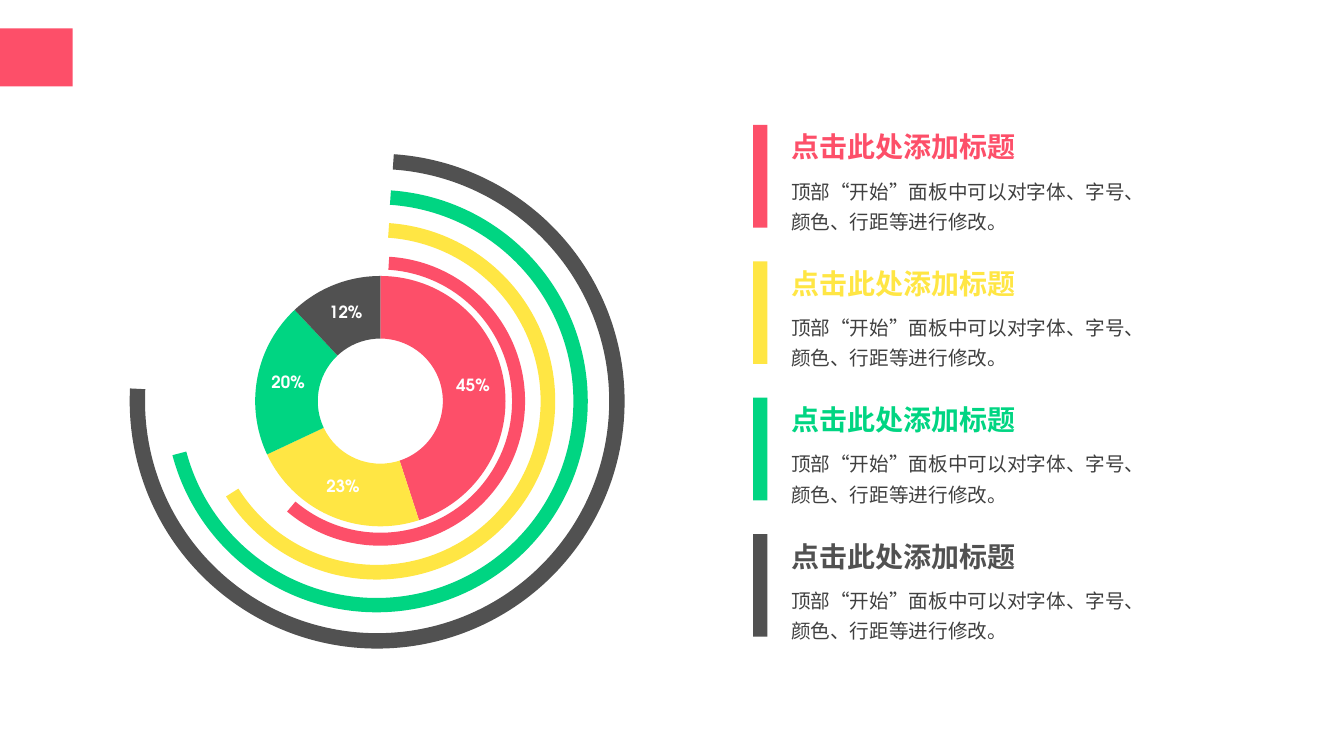
"""Build a slide with a doughnut chart, four surrounding arcs and four captions."""
from dataclasses import dataclass

from pptx import Presentation
from pptx.chart.data import CategoryChartData
from pptx.dml.color import RGBColor
from pptx.enum.chart import XL_CHART_TYPE
from pptx.enum.shapes import MSO_SHAPE
from pptx.enum.text import MSO_AUTO_SIZE, PP_ALIGN
from pptx.shapes.autoshape import Shape
from pptx.slide import Slide
from pptx.util import Pt

DOUGHNUT = XL_CHART_TYPE.DOUGHNUT
RECTANGLE = MSO_SHAPE.RECTANGLE
BLOCK_ARC = MSO_SHAPE.BLOCK_ARC
GROW = MSO_AUTO_SIZE.SHAPE_TO_FIT_TEXT
LEFT = PP_ALIGN.LEFT

FONT = "TeX Gyre Adventor"
COLOURS = {
    "red": "FD4F69",
    "yellow": "FFE644",
    "green": "00D582",
    "grey": "515151",
    "body": "404040",
    "white": "FFFFFF",
    "black": "000000",
}
HEADING = "点击此处添加标题"
BODY = "顶部“开始”面板中可以对字体、字号、颜色、行距等进行修改。"
ARC_CENTRE_Y = 286.5
CAPTION_TOP = 89.3
CAPTION_PITCH = 97.4
CAPTION_LEFT = 558


@dataclass(frozen=True)
class Topic:
    """One share of the doughnut with its arc and caption."""

    colour: str
    share: int
    arc_centre_x: float
    arc_diameter: float
    arc_start: float
    arc_end: float
    arc_thickness: float


TOPICS = [
    Topic("red", 45, 271.8, 206.6, 83.87, 213.92, 0.045),
    Topic("yellow", 23, 269.2, 254.9, 73.38, 213.63, 0.041),
    Topic("green", 20, 269.0, 301.7, 62.9, 213.66, 0.034),
    Topic("grey", 12, 269.4, 353.5, 52.24, 213.68, 0.031),
]


def rgb(colour: str) -> RGBColor:
    """Look up a named colour."""
    return RGBColor.from_string(COLOURS[colour])


def add_block(slide: Slide, kind: MSO_SHAPE, left: float, top: float,
              width: float, height: float, colour: str) -> Shape:
    """Add a flat shape without outline or shadow."""
    block = slide.shapes.add_shape(kind, Pt(left), Pt(top), Pt(width), Pt(height))
    block.fill.solid()
    block.fill.fore_color.rgb = rgb(colour)
    block.line.fill.background()
    block.shadow.inherit = False
    return block


def add_text(slide: Slide, words: str, top: float, width: float, height: float,
             size: int, colour: str, bold: bool, wrap: bool, spacing: float) -> None:
    """Add one caption paragraph."""
    box = slide.shapes.add_textbox(Pt(CAPTION_LEFT), Pt(top), Pt(width), Pt(height))
    frame = box.text_frame
    frame.word_wrap = wrap
    frame.auto_size = GROW
    paragraph = frame.paragraphs[0]
    paragraph.text = words
    paragraph.alignment = LEFT
    paragraph.line_spacing = spacing
    paragraph.font.name = FONT
    paragraph.font.size = Pt(size)
    paragraph.font.bold = bold
    paragraph.font.color.rgb = rgb(colour)


def add_doughnut(slide: Slide) -> None:
    """Add the doughnut of shares with percentage labels."""
    shares = CategoryChartData()
    shares.categories = [str(number) for number in range(1, len(TOPICS) + 1)]
    shares.add_series("Series 1", [topic.share for topic in TOPICS])
    chart = slide.shapes.add_chart(
        DOUGHNUT, Pt(165.6), Pt(187.2), Pt(212.4), Pt(198.7), shares).chart
    chart.has_legend = False
    chart.has_title = False
    chart.font.name = FONT
    chart.font.size = Pt(10)
    chart.font.color.rgb = rgb("black")
    plot = chart.plots[0]
    plot.vary_by_categories = True
    for index, topic in enumerate(TOPICS):
        slice_format = plot.series[0].points[index].format
        slice_format.fill.solid()
        slice_format.fill.fore_color.rgb = rgb(topic.colour)
        slice_format.line.fill.background()
    labels = plot.series[0].data_labels
    labels.show_percentage = True
    labels.show_value = False
    labels.number_format = "0%"
    labels.number_format_is_linked = False
    labels.font.name = FONT
    labels.font.size = Pt(12)
    labels.font.bold = True
    labels.font.color.rgb = rgb("white")


def add_arc(slide: Slide, topic: Topic) -> None:
    """Add the arc that runs around the doughnut for one topic."""
    diameter = topic.arc_diameter
    arc = add_block(slide, BLOCK_ARC, topic.arc_centre_x - diameter / 2,
                    ARC_CENTRE_Y - diameter / 2, diameter, diameter, topic.colour)
    arc.adjustments[0] = topic.arc_start
    arc.adjustments[1] = topic.arc_end
    arc.adjustments[2] = topic.arc_thickness
    arc.rotation = 90
    arc.element.spPr.xfrm.set("flipH", "1")


def add_caption(slide: Slide, topic: Topic, top: float) -> None:
    """Add the body, heading and side bar of one topic."""
    add_text(slide, BODY, top + 30.3, 257.8, 51.1, 14, "body", False, True, 1.3)
    add_text(slide, HEADING, top, 176.4, 31.5, 20, topic.colour, True, False, 1.0)
    add_block(slide, RECTANGLE, 538, top, 10.2, 73.3, topic.colour)


def main() -> None:
    """Build and save the slide."""
    deck = Presentation()
    deck.slide_width = Pt(960)
    deck.slide_height = Pt(540)
    slide = deck.slides.add_slide(deck.slide_layouts[6])
    add_block(slide, RECTANGLE, 0, 20.2, 52, 41.6, "red")
    add_doughnut(slide)
    for topic in TOPICS:
        add_arc(slide, topic)
    for row, topic in enumerate(TOPICS):
        add_caption(slide, topic, CAPTION_TOP + row * CAPTION_PITCH)
    deck.save("out.pptx")


if __name__ == "__main__":
    main()
